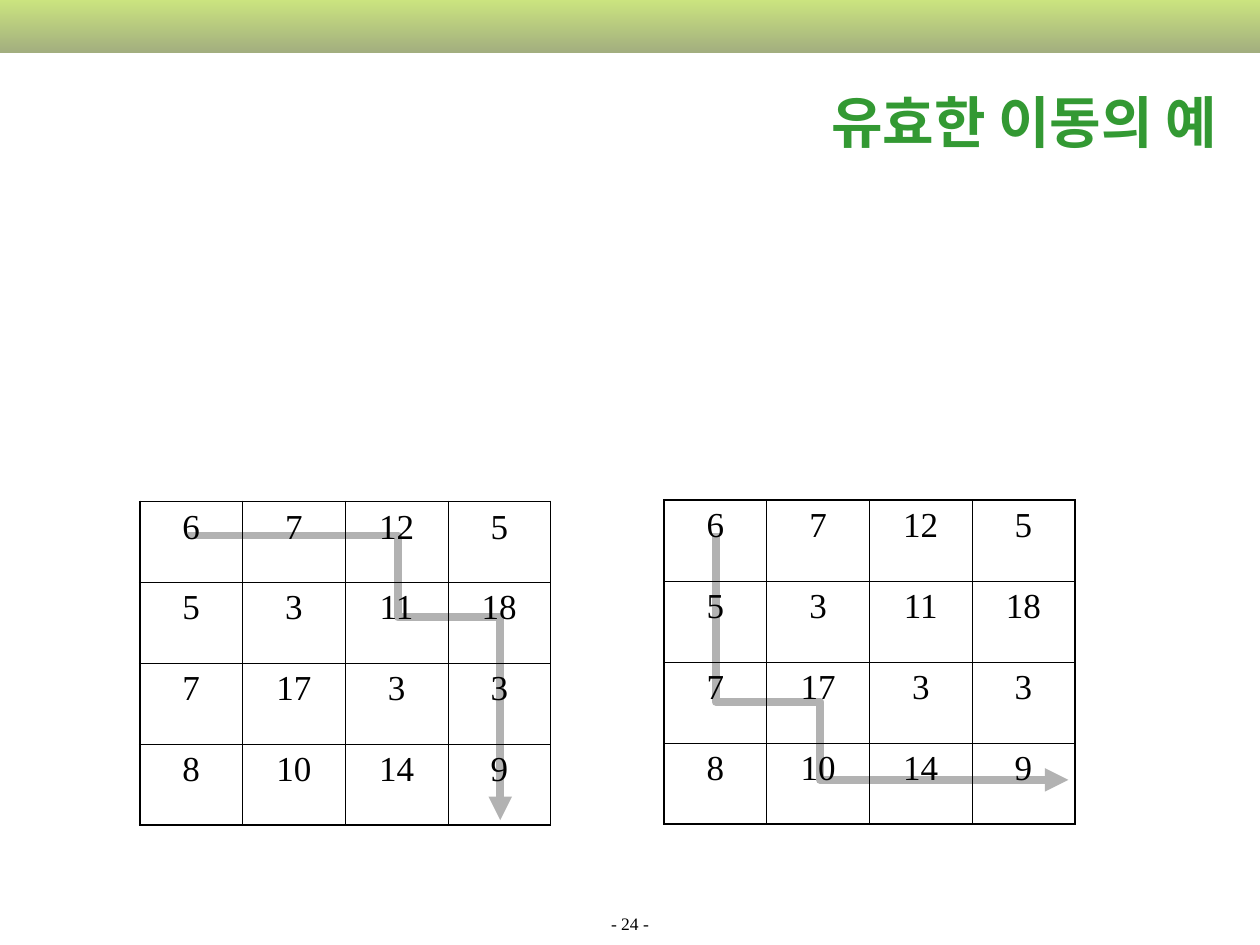
from dataclasses import dataclass

from lxml.etree import SubElement
from pptx import Presentation
from pptx.dml.color import RGBColor
from pptx.enum.shapes import MSO_SHAPE as Preset
from pptx.enum.text import MSO_ANCHOR as Anchor, PP_ALIGN as Align
from pptx.oxml import parse_xml
from pptx.oxml.ns import nsdecls, qn
from pptx.util import Inches, Pt


@dataclass(frozen=True)
class Theme:
    font: str = "Times New Roman"
    ink: str = "000000"
    title: str = "339933"
    route: str = "B2B2B2"
    band: tuple[str, str] = ("99CC00", "475E00")
    band_alpha: int = 50
    title_size: float = 32
    cell_size: float = 20
    footer_size: float = 10
    cell_space: float = 5
    route_width: float = 4.5
    outer_border: float = 1.08
    inner_border: float = 0.45


@dataclass(frozen=True)
class Label:
    text: str
    box: tuple[float, float, float, float]
    size: float
    color: str
    anchor: Anchor
    bold: bool = False


@dataclass(frozen=True)
class Board:
    left: float
    top: float
    route: tuple[tuple[float, float], ...]


THEME = Theme()
NUMBERS = ((6, 7, 12, 5), (5, 3, 11, 18), (7, 17, 3, 3), (8, 10, 14, 9))
BOARD_WIDTH, BOARD_HEIGHT = 3.26, 2.57
BOARDS = (
    Board(5.27, 3.97, ((5.68, 4.23), (5.68, 5.57), (6.51, 5.57), (6.51, 6.19), (8.48, 6.19))),
    Board(1.11, 3.98, ((1.49, 4.25), (3.16, 4.25), (3.16, 4.9), (3.97, 4.9), (3.97, 6.51))),
)
TITLE = Label("유효한 이동의 예", (6.26, 0.4, 3.74, 1.13), THEME.title_size, THEME.title,
              Anchor.MIDDLE, bold=True)
FOOTER = Label("- 24 -", (0, 7.24, 10, 0.22), THEME.footer_size, THEME.ink, Anchor.BOTTOM)


def add_span(para, text: str, size: float, color: str, bold: bool = False) -> None:
    para.alignment = Align.CENTER
    span = para.add_run()
    span.text = text
    span.font.name = THEME.font
    span.font.size = Pt(size)
    span.font.bold = bold
    span.font.color.rgb = RGBColor.from_string(color)


def add_label(page, label: Label) -> None:
    box = page.shapes.add_textbox(*map(Inches, label.box))
    frame = box.text_frame
    frame.word_wrap = True
    frame.vertical_anchor = label.anchor
    add_span(frame.paragraphs[0], label.text, label.size, label.color, label.bold)


def add_band(page) -> None:
    """Draw the half-transparent gradient along the top edge."""
    band = page.shapes.add_shape(Preset.RECTANGLE, 0, 0, Inches(10), Inches(0.42))
    band.shadow.inherit = False
    band.line.fill.background()
    band.fill.gradient()
    band.fill.gradient_angle = 270
    for stop, color in zip(band.fill.gradient_stops, THEME.band):
        stop.color.rgb = RGBColor.from_string(color)
    for color in band.element.xpath(".//a:gs/a:srgbClr"):
        SubElement(color, qn("a:alpha"), val=str(THEME.band_alpha * 1000))


def add_route(page, board: Board) -> None:
    points = [(Inches(x), Inches(y)) for x, y in board.route]
    builder = page.shapes.build_freeform(*points[0])
    builder.add_line_segments(points[1:], close=False)
    route = builder.convert_to_shape()
    route.shadow.inherit = False
    route.fill.background()
    route.line.color.rgb = RGBColor.from_string(THEME.route)
    route.line.width = Pt(THEME.route_width)
    line = route.line._get_or_add_ln()
    SubElement(line, qn("a:round"))
    SubElement(line, qn("a:tailEnd"), type="triangle")


def set_borders(cell, row: int, column: int) -> None:
    """Make edges on the rim of the board heavier than those inside."""
    last_row, last_column = len(NUMBERS) - 1, len(NUMBERS[0]) - 1
    on_rim = {"L": column == 0, "R": column == last_column,
              "T": row == 0, "B": row == last_row}
    properties = cell._tc.get_or_add_tcPr()
    for index, (side, rim) in enumerate(on_rim.items()):
        width = Pt(THEME.outer_border if rim else THEME.inner_border)
        properties.insert(index, parse_xml(
            f'<a:ln{side} {nsdecls("a")} w="{width}"><a:solidFill>'
            f'<a:srgbClr val="{THEME.ink}"/></a:solidFill></a:ln{side}>'))


def add_board(page, board: Board) -> None:
    place = map(Inches, (board.left, board.top, BOARD_WIDTH, BOARD_HEIGHT))
    table = page.shapes.add_table(len(NUMBERS), len(NUMBERS[0]), *place).table
    table.first_row = table.horz_banding = False
    for row, numbers in enumerate(NUMBERS):
        for column, number in enumerate(numbers):
            cell = table.cell(row, column)
            cell.fill.background()
            set_borders(cell, row, column)
            para = cell.text_frame.paragraphs[0]
            para.space_before = Pt(THEME.cell_space)
            add_span(para, str(number), THEME.cell_size, THEME.ink)


def main() -> None:
    deck = Presentation()
    deck.slide_width, deck.slide_height = Inches(10), Inches(7.5)
    page = deck.slides.add_slide(deck.slide_layouts[6])
    add_band(page)
    add_label(page, FOOTER)
    for board in BOARDS:
        add_route(page, board)
    for board in BOARDS:
        add_board(page, board)
    add_label(page, TITLE)
    deck.save("out.pptx")


if __name__ == "__main__":
    main()
